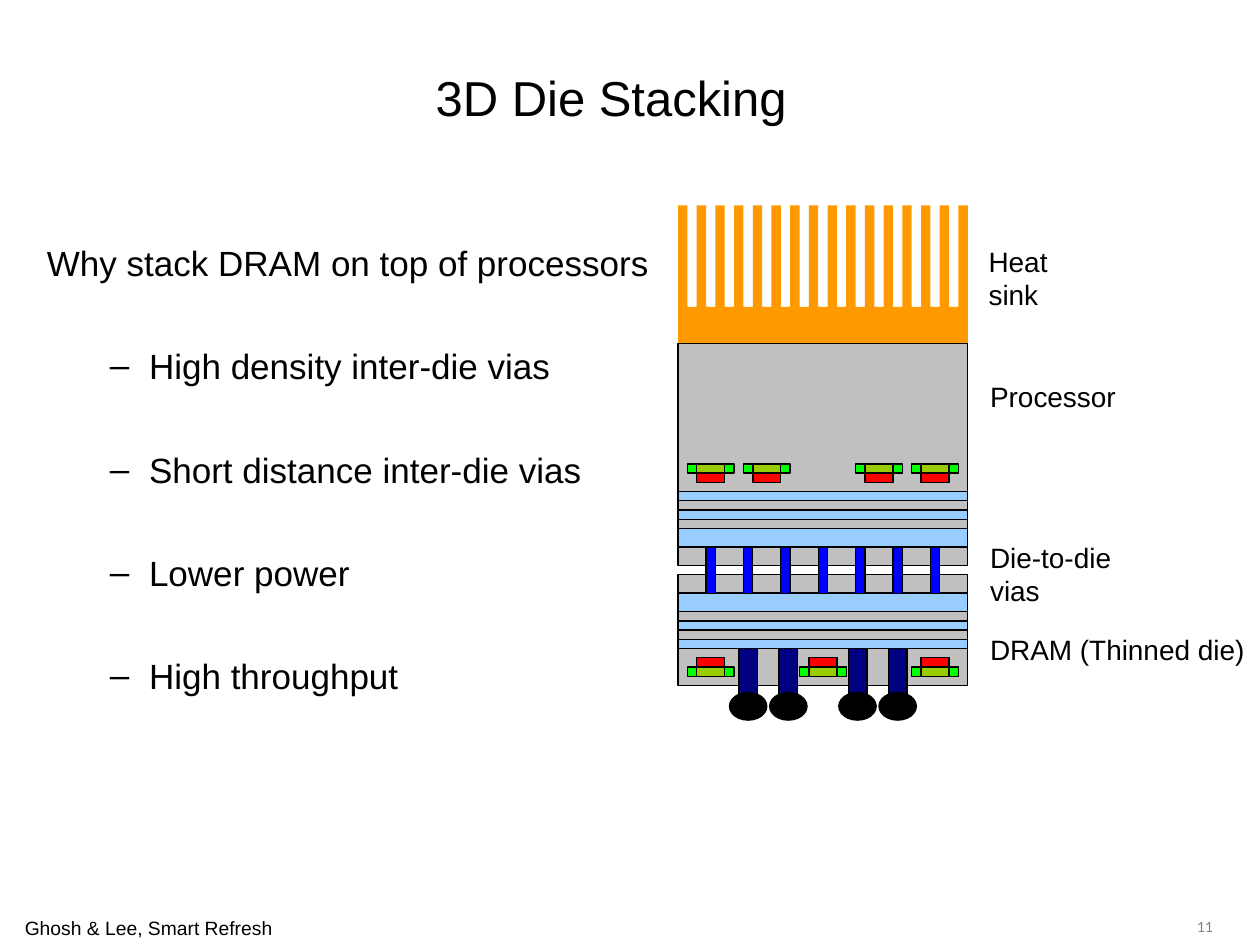
from lxml import etree
from pptx import Presentation
from pptx.dml.color import RGBColor
from pptx.enum.shapes import MSO_SHAPE
from pptx.enum.text import MSO_ANCHOR, MSO_AUTO_SIZE, PP_ALIGN
from pptx.oxml.ns import qn
from pptx.util import Cm, Pt

RECTANGLE, OVAL = MSO_SHAPE.RECTANGLE, MSO_SHAPE.OVAL
LEFT, CENTER, RIGHT = PP_ALIGN.LEFT, PP_ALIGN.CENTER, PP_ALIGN.RIGHT
MIDDLE, TOP = MSO_ANCHOR.MIDDLE, MSO_ANCHOR.TOP
NO_AUTOFIT = MSO_AUTO_SIZE.NONE

COLORS = {
    "text": "000000", "page_number": "808080", "outline": "000000",
    "heat_sink": "FF9900", "silicon": "C0C0C0", "metal": "99CCFF",
    "terminal": "00FF00", "channel": "99CC00", "gate": "FF0000",
    "via": "0000FF", "pin": "000080", "bump": "000000",
}
REASONS = ["High density inter-die vias", "Short distance inter-die vias",
           "Lower power", "High throughput"]

# The stack is drawn on a grid of 31 columns and 52 rows.
COLUMNS, ROWS = 31, 52
FIN_ROWS, SINK_ROWS = 11, 15


def color(name):
    return RGBColor.from_string(COLORS[name])


def format_text(paragraph, size, name="Arial", color_name="text", alignment=LEFT):
    paragraph.alignment = alignment
    paragraph.font.size = Pt(size)
    paragraph.font.name = name
    paragraph.font.color.rgb = color(color_name)


def place(shape, box):
    shape.left, shape.top, shape.width, shape.height = (Cm(value) for value in box)


def set_bullet(paragraph, margin, indent, character=None):
    """Give the paragraph a hanging indent and a bullet, or no bullet."""
    properties = paragraph._p.get_or_add_pPr()
    properties.set("marL", str(Cm(margin)))
    properties.set("indent", str(Cm(indent)))
    if character:
        font = etree.SubElement(properties, qn("a:buFont"))
        font.set("typeface", "Arial")
        etree.SubElement(properties, qn("a:buChar")).set("char", character)
    else:
        etree.SubElement(properties, qn("a:buNone"))


def add_title(slide, box):
    title = slide.shapes.title
    place(title, box)
    frame = title.text_frame
    frame.text = "3D Die Stacking"
    frame.vertical_anchor = MIDDLE
    frame.auto_size = NO_AUTOFIT
    format_text(frame.paragraphs[0], 28, alignment=CENTER)


def add_reasons(slide, box):
    body = slide.placeholders[1]
    place(body, box)
    frame = body.text_frame
    frame.auto_size = NO_AUTOFIT
    frame.vertical_anchor = TOP
    frame.margin_top = Cm(0.22)
    heading = frame.paragraphs[0]
    heading.text = "Why stack DRAM on top of processors"
    set_bullet(heading, 0.97, -0.97)
    heading.space_before = Pt(0)
    format_text(heading, 20)
    for reason in REASONS:
        paragraph = frame.add_paragraph()
        paragraph.text = reason
        paragraph.level = 1
        set_bullet(paragraph, 2.06, -0.79, "–")
        paragraph.space_before = Pt(35)
        format_text(paragraph, 20)


def add_label(slide, text, box, size, wrap=False, **style):
    label = slide.shapes.add_textbox(*(Cm(value) for value in box))
    label.text_frame.word_wrap = wrap
    label.text_frame.text = text
    format_text(label.text_frame.paragraphs[0], size, **style)


def add_die_stack(slide, box):
    left, top, width, height = box
    column, row = width / COLUMNS, height / ROWS

    def add_part(name, x, y, columns, rows, kind=RECTANGLE):
        shape = slide.shapes.add_shape(
            kind, Cm(left + x * column), Cm(top + y * row),
            Cm(columns * column), Cm(rows * row))
        shape.shadow.inherit = False
        shape.fill.solid()
        shape.fill.fore_color.rgb = color(name)
        shape.line.color.rgb = color("outline")
        shape.line.width = Pt(0.75)

    def add_heat_sink():
        points = [(0, SINK_ROWS)]
        for x in range(0, COLUMNS, 2):
            points += [(x, 0), (x + 1, 0)]
            if x + 1 < COLUMNS:
                points += [(x + 1, FIN_ROWS), (x + 2, FIN_ROWS)]
        points.append((COLUMNS, SINK_ROWS))
        corners = [(Cm(left + x * column), Cm(top + y * row)) for x, y in points]
        builder = slide.shapes.build_freeform(*corners[0])
        builder.add_line_segments(corners[1:], close=True)
        sink = builder.convert_to_shape()
        sink.shadow.inherit = False
        sink.fill.solid()
        sink.fill.fore_color.rgb = color("heat_sink")
        sink.line.fill.background()

    def add_transistor(x, y, gate_y):
        add_part("terminal", x, y, 1, 1)
        add_part("channel", x + 1, y, 3, 1)
        add_part("terminal", x + 4, y, 1, 1)
        add_part("gate", x + 1, gate_y, 3, 1)

    add_heat_sink()
    for y, rows in [(40, 12), (15, 24)]:
        add_part("silicon", 0, y, COLUMNS, rows)
    for y, rows in [(35, 2), (33, 1), (31, 1), (42, 2), (47, 1), (45, 1)]:
        add_part("metal", 0, y, COLUMNS, rows)
    for x in (1, 7, 19, 25):
        add_transistor(x, 28, 29)
    for x in (1, 13, 25):
        add_transistor(x, 50, 49)
    for x in range(3, COLUMNS - 3, 4):
        add_part("via", x, 37, 1, 5)
    pins = (6.5, 10.8, 18.2, 22.5)
    for x in pins:
        add_part("pin", x, 48, 2, 5)
    for x in pins:
        add_part("bump", x - 1, 52.75, 4, 3, OVAL)


def main():
    presentation = Presentation()
    presentation.slide_width, presentation.slide_height = Cm(25.4), Cm(19.05)
    slide = presentation.slides.add_slide(presentation.slide_layouts[1])
    add_label(slide, "Ghosh & Lee, Smart Refresh", (0.25, 18.34, 5.51, 0.74), 11)
    add_title(slide, (0.89, 0.89, 22.86, 2.11))
    add_reasons(slide, (0.69, 4.65, 12.98, 12.27))
    add_die_stack(slide, (13.67, 4.14, 5.84, 9.68))
    for text, x, y, width in [("Heat sink", 19.68, 4.8, 2.84),
                              ("Processor", 19.71, 7.52, 3.05),
                              ("DRAM (Thinned die)", 19.71, 12.62, 5.64),
                              ("Die-to-die vias", 19.71, 10.77, 4.09)]:
        add_label(slide, text, (x, y, width, 0.94), 16)
    add_label(slide, "11", (21.84, 18.39, 2.87, 1.07), 8, wrap=True,
              name="Lato", color_name="page_number", alignment=RIGHT)
    presentation.save("out.pptx")


if __name__ == "__main__":
    main()
